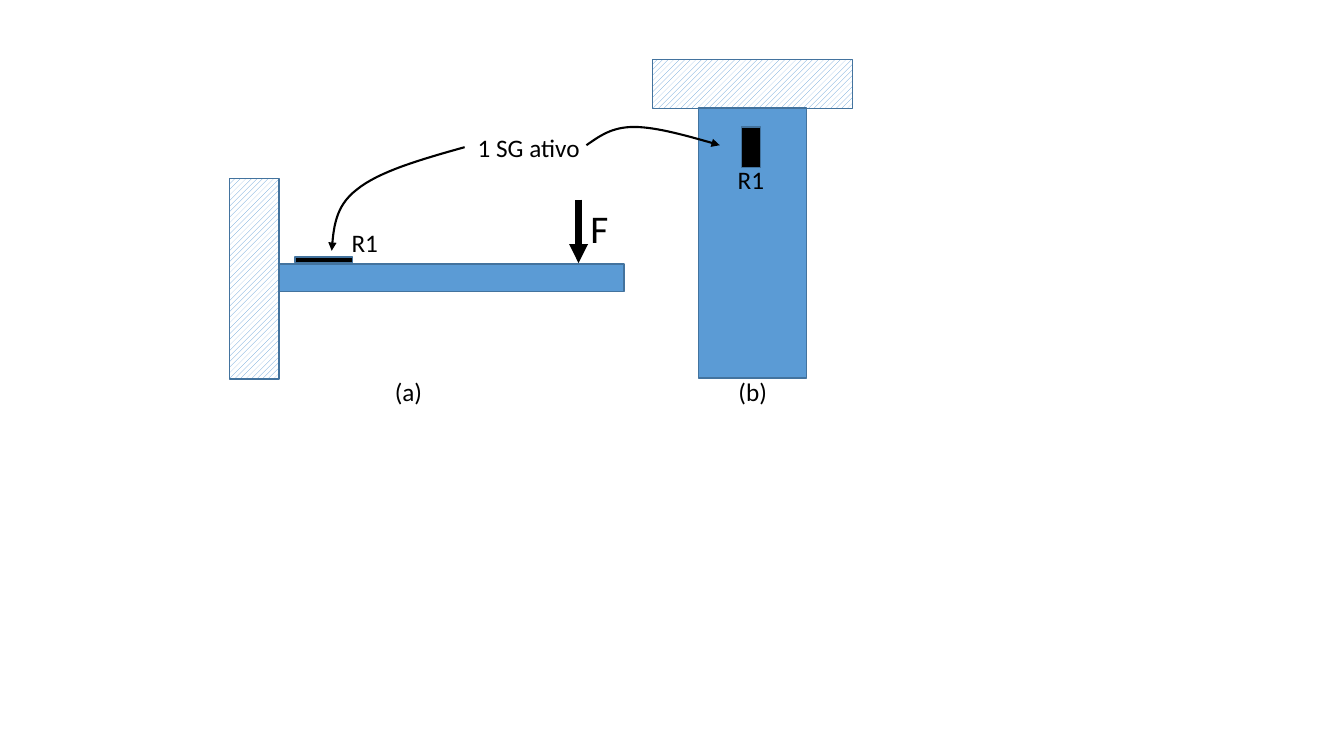
from pptx import Presentation
from pptx.dml.color import RGBColor
from pptx.enum import dml, shapes, text
from pptx.oxml import ns
from pptx.util import Cm, Pt
from lxml import etree

HUES = {"blue": "5B9BD5", "edge": "43739E", "ink": "000000", "paper": "FFFFFF"}
RGB = {name: RGBColor.from_string(code) for name, code in HUES.items()}
STEPS = 16

deck = Presentation()
deck.slide_width, deck.slide_height = Cm(33.87), Cm(19.05)
slide = deck.slides.add_slide(deck.slide_layouts[6])
items = slide.shapes


def style_arrow(item, width):
    """Give an open line its black stroke and a triangle at its end."""
    item.line.color.rgb = RGB["ink"]
    item.line.width = Pt(width)
    stroke = item.line._get_or_add_ln()
    etree.SubElement(stroke, ns.qn("a:tailEnd"), type="triangle")


def curve_point(a, b, c, d, t):
    """Return the point at t on a cubic curve."""
    s = 1 - t
    return tuple(
        Cm(s**3 * i + 3 * s * s * t * j + 3 * s * t * t * k + t**3 * m)
        for i, j, k, m in zip(a, b, c, d)
    )


# Beams, walls and gauges: left, top, width, height, fill, turn
blocks = [
    (7.04, 6.65, 8.69, 0.69, "blue", 0),
    (5.79, 4.5, 1.24, 5.05, "hatch", 0),
    (18.34, -0.41, 1.24, 5.05, "hatch", 90),
    (17.6, 2.72, 2.72, 6.81, "blue", 0),
    (7.44, 6.48, 1.45, 0.13, "ink", 0),
    (18.69, 3.2, 0.48, 1.02, "ink", 0),
]
for *box, fill, turn in blocks:
    block = items.add_shape(shapes.MSO_SHAPE.RECTANGLE, *map(Cm, box))
    block.rotation = turn
    block.shadow.inherit = False
    block.line.color.rgb = RGB["edge"]
    block.line.width = Pt(1)
    if fill == "hatch":
        block.fill.patterned()
        block.fill.pattern = dml.MSO_PATTERN.WIDE_UPWARD_DIAGONAL
        block.fill.fore_color.rgb = RGB["blue"]
        block.fill.back_color.rgb = RGB["paper"]
    else:
        block.fill.solid()
        block.fill.fore_color.rgb = RGB[fill]

# Force
force = items.add_connector(
    shapes.MSO_CONNECTOR.STRAIGHT, Cm(14.58), Cm(5.03), Cm(14.58), Cm(6.63)
)
style_arrow(force, 4.5)
etree.SubElement(force._element.spPr, ns.qn("a:effectLst"))

# Curved pointers from the label to both gauges
curves = [
    [(14.78, 3.66), (15.11, 3.43), (15.42, 3.2), (15.98, 3.2),
     (16.54, 3.2), (17.35, 3.43), (18.14, 3.66)],
    [(11.71, 3.71), (10.64, 4.01), (9.55, 4.32), (8.99, 4.78),
     (8.43, 5.21), (8.41, 5.77), (8.36, 6.32)],
]
for knots in curves:
    points = [
        curve_point(*knots[at:at + 4], step / STEPS)
        for at in (0, 3)
        for step in range(1, STEPS + 1)
    ]
    pen = items.build_freeform(*map(Cm, knots[0]))
    pen.add_line_segments(points, close=False)
    curve = pen.convert_to_shape()
    curve.shadow.inherit = False
    curve.fill.background()
    style_arrow(curve, 1.5)

# Labels: words, left, top, width, height, size
labels = [
    ("F", 14.63, 5.03, 0.97, 1.45, 28),
    ("(a)", 9.7, 9.37, 1.22, 1.02, 18),
    ("(b)", 18.36, 9.37, 1.24, 1.02, 18),
    ("1 SG ativo", 11.79, 3.2, 3.12, 1.02, 18),
    ("R1", 18.34, 4.01, 1.19, 1.02, 18),
    ("R1", 8.61, 5.61, 1.19, 1.02, 18),
]
for words, *box, size in labels:
    frame = items.add_textbox(*map(Cm, box)).text_frame
    frame.text = words
    frame.word_wrap = False
    frame.auto_size = text.MSO_AUTO_SIZE.SHAPE_TO_FIT_TEXT
    font = frame.paragraphs[0].runs[0].font
    font.name = "Calibri"
    font.size = Pt(size)
    font.color.rgb = RGB["ink"]

deck.save("out.pptx")
